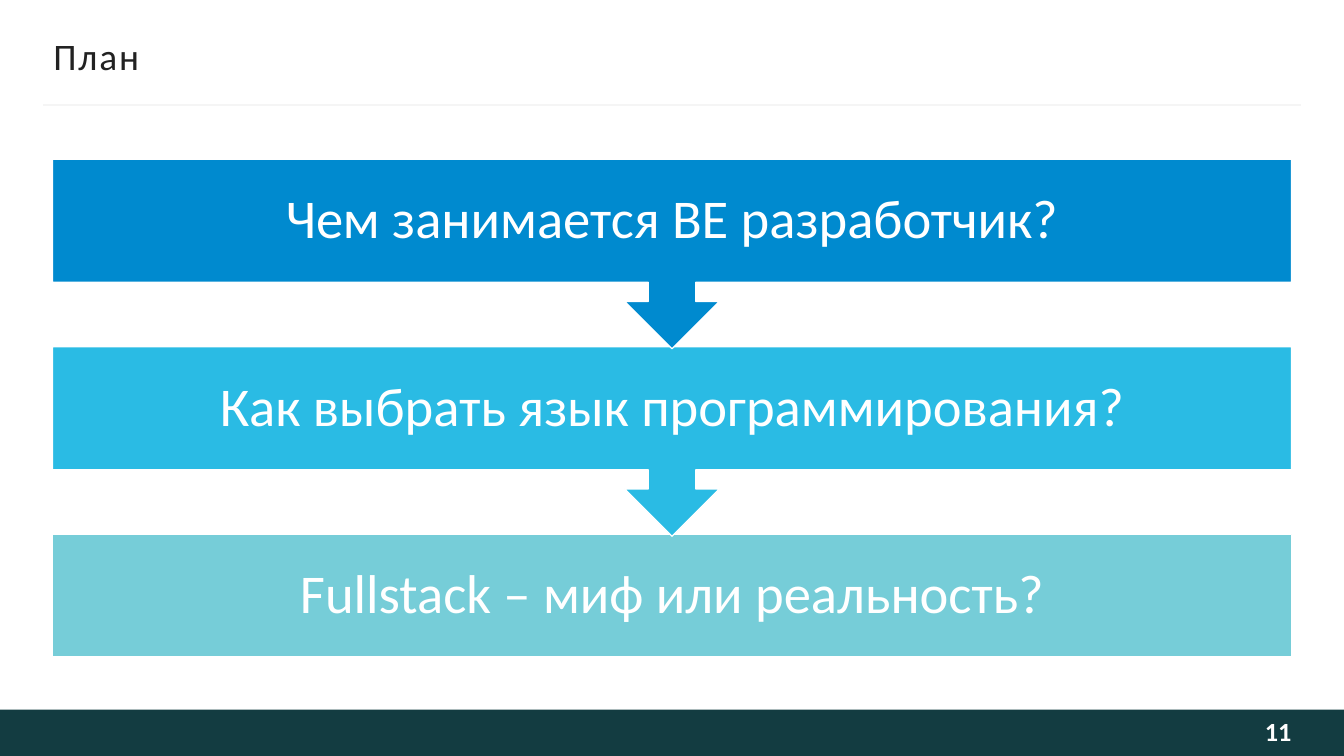
from lxml import etree
from pptx import Presentation
from pptx.dml.color import RGBColor
from pptx.enum.shapes import MSO_CONNECTOR, MSO_SHAPE
from pptx.enum.text import MSO_ANCHOR, PP_ALIGN
from pptx.oxml.ns import qn
from pptx.util import Inches, Pt

WHITE = RGBColor(0xFF, 0xFF, 0xFF)
PAGE_WHITE = RGBColor(0xFE, 0xFE, 0xFE)
INK = RGBColor(0x22, 0x22, 0x22)
RULE_GREY = RGBColor(0xF5, 0xF5, 0xF5)
FOOTER_GREEN = RGBColor(0x13, 0x3C, 0x41)
BLUE = RGBColor(0x00, 0x8A, 0xCF)
SKY = RGBColor(0x2A, 0xBB, 0xE4)
TEAL = RGBColor(0x76, 0xCD, 0xD8)

SLIDE_WIDTH, SLIDE_HEIGHT = 13.33, 7.5
STEPS = [
    ("Чем занимается BE разработчик?", BLUE),
    ("Как выбрать язык программирования?", SKY),
    ("Fullstack – миф или реальность?", TEAL),
]


def write_text(shape, text, size, color, align, insets, wrap=False, bold=False):
    frame = shape.text_frame
    frame.word_wrap = wrap
    frame.vertical_anchor = MSO_ANCHOR.MIDDLE
    (frame.margin_left, frame.margin_top,
     frame.margin_right, frame.margin_bottom) = map(Inches, insets)
    paragraph = frame.paragraphs[0]
    paragraph.text = text
    paragraph.alignment = align
    paragraph.font.name = "Calibri"
    paragraph.font.size = Pt(size)
    paragraph.font.bold = bold
    paragraph.font.color.rgb = color
    return paragraph


def add_block(slide, kind, left, top, width, height, color):
    shape = slide.shapes.add_shape(
        kind, Inches(left), Inches(top), Inches(width), Inches(height))
    shape.shadow.inherit = False
    shape.fill.solid()
    shape.fill.fore_color.rgb = color
    shape.line.fill.background()
    return shape


def add_header(slide, left, top, width, height):
    rule_y = Inches(top + height + 0.27)
    rule = slide.shapes.add_connector(
        MSO_CONNECTOR.STRAIGHT, Inches(left - 0.1), rule_y,
        Inches(left + width + 0.08), rule_y)
    rule.line.color.rgb = RULE_GREY
    rule.line.width = Pt(1.5)
    etree.SubElement(rule._element.spPr, qn("a:effectLst"))
    title = slide.shapes.add_textbox(
        Inches(left), Inches(top), Inches(width), Inches(height))
    paragraph = write_text(title, "План", 26.7, INK, PP_ALIGN.LEFT, (0, 0.05, 0, 0.05))
    paragraph.runs[0].font._element.set("spc", "130")


def add_steps(slide, left, top, width, height, steps):
    box_height, arrow_height = 1.22, 0.66
    pitch = (height - box_height) / (len(steps) - 1)
    last = len(steps) - 1
    for index, (text, color) in reversed(list(enumerate(steps))):
        is_last = index == last
        kind = MSO_SHAPE.RECTANGLE if is_last else MSO_SHAPE.DOWN_ARROW_CALLOUT
        block_height = box_height if is_last else box_height + arrow_height
        block = add_block(slide, kind, left, top + index * pitch,
                          width, block_height, color)
        block.line.color.rgb = WHITE
        block.line.width = Pt(1)
        paragraph = write_text(block, text, 39, WHITE, PP_ALIGN.CENTER,
                               (0.3, 0.3, 0.3, 0.3), wrap=True)
        paragraph.line_spacing = 0.9


def add_footer(slide, left, top, width, height):
    add_block(slide, MSO_SHAPE.RECTANGLE, left, top, width, height, FOOTER_GREEN)
    number = slide.shapes.add_textbox(
        Inches(left + width - 2.52), Inches(top), Inches(2), Inches(height))
    write_text(number, "11", 18.7, PAGE_WHITE, PP_ALIGN.RIGHT,
               (0.1, 0.05, 0, 0.09), bold=True)


def main():
    presentation = Presentation()
    presentation.slide_width = Inches(SLIDE_WIDTH)
    presentation.slide_height = Inches(SLIDE_HEIGHT)
    slide = presentation.slides.add_slide(presentation.slide_layouts[6])
    add_header(slide, 0.53, 0.33, 12.29, 0.44)
    add_steps(slide, 0.52, 1.58, 12.29, 4.94, STEPS)
    add_footer(slide, 0, 7.04, SLIDE_WIDTH, 0.46)
    presentation.save("out.pptx")


if __name__ == "__main__":
    main()
